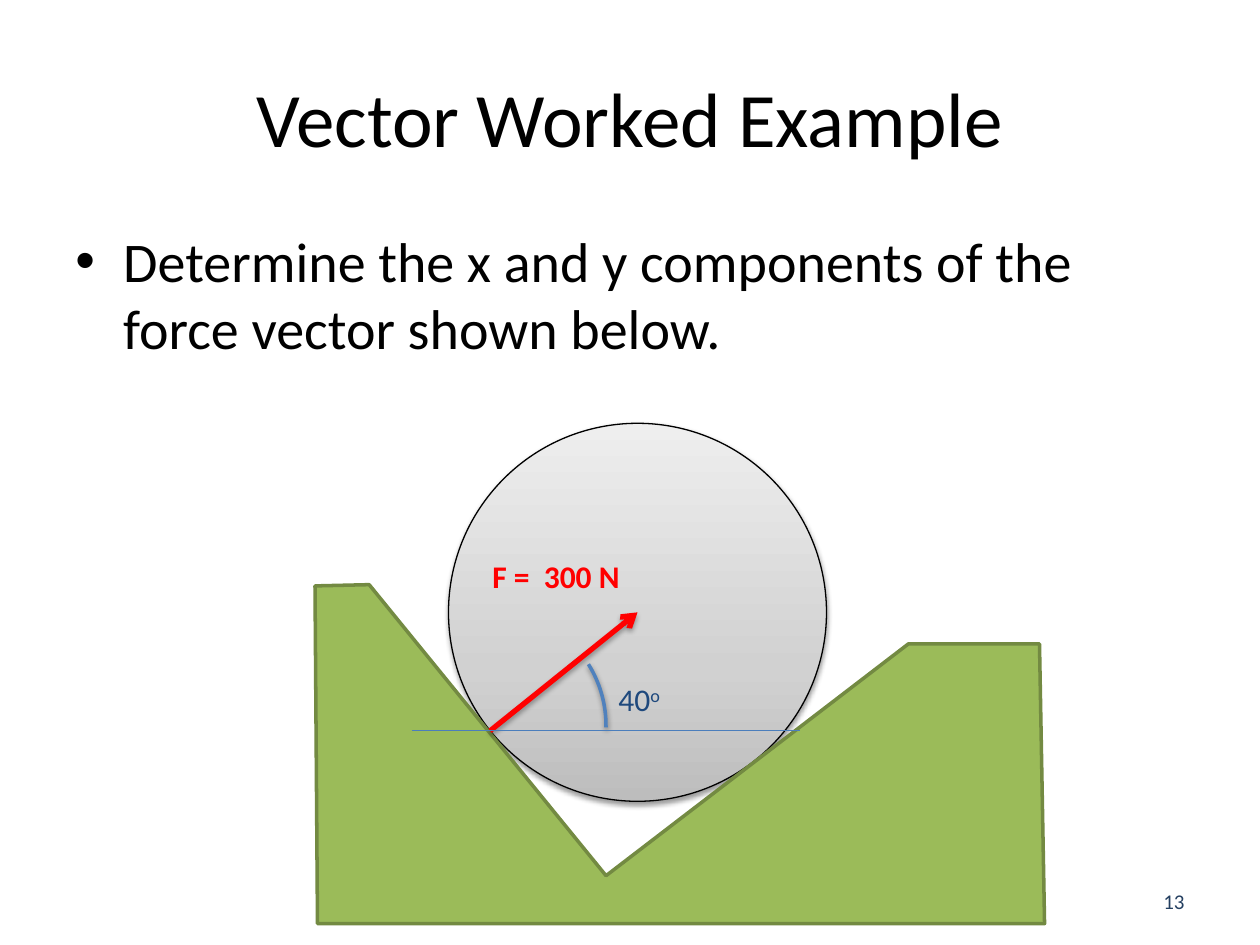
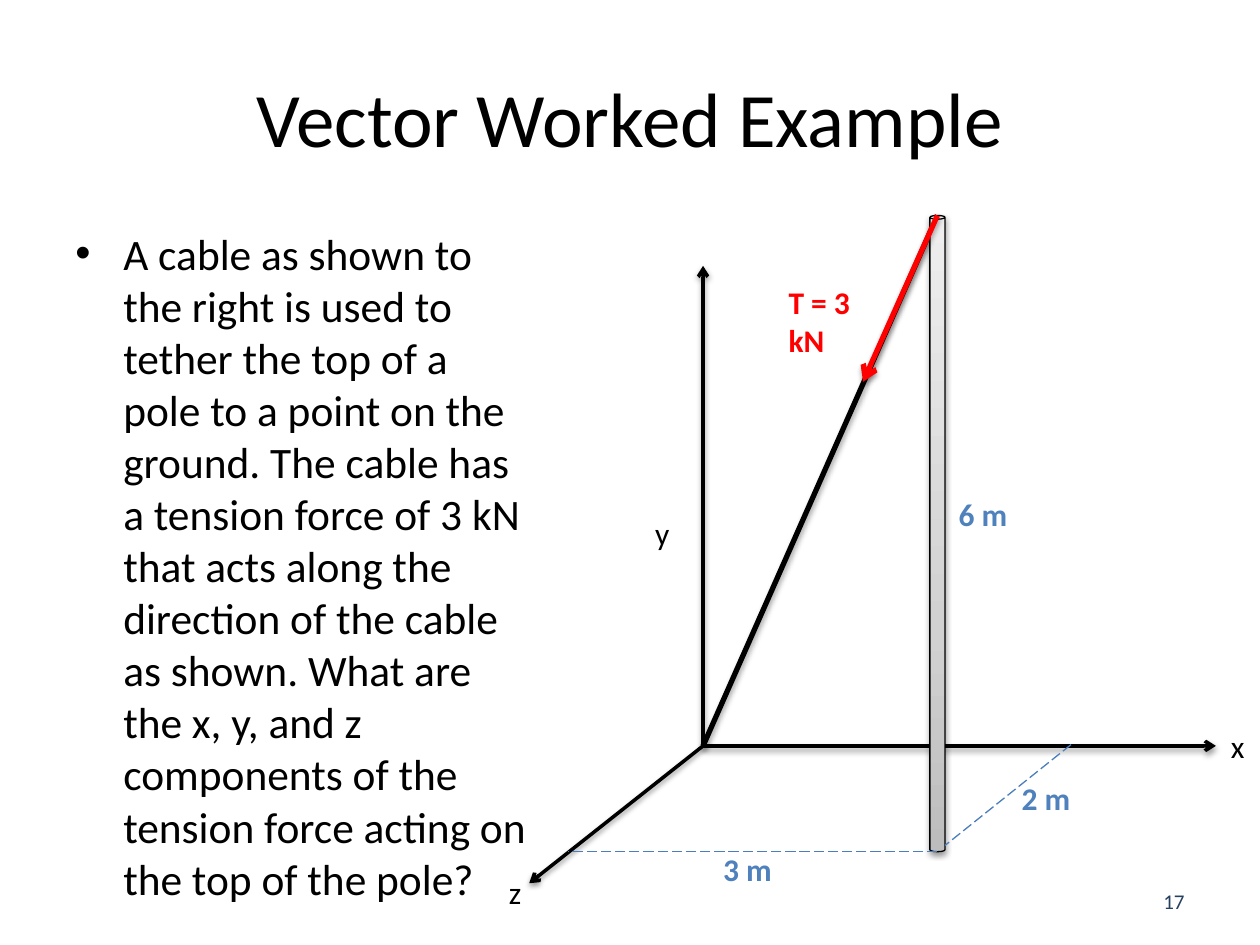
from copy import deepcopy
from lxml import etree
from pptx import Presentation, util as u
from pptx.dml.color import RGBColor
from pptx.enum import dml, shapes, text
from pptx.oxml import ns

# Shared look
BLACK = RGBColor(0x00, 0x00, 0x00)
RED = RGBColor(0xFF, 0x00, 0x00)
NAVY = RGBColor(0x25, 0x40, 0x61)
INK = RGBColor(0x1F, 0x49, 0x7D)
BLUE = RGBColor(0x4F, 0x81, 0xBD)
STEEL = RGBColor(0x4B, 0x7E, 0xBC)
GREEN = RGBColor(0x9B, 0xBB, 0x59)
OLIVE = RGBColor(0x73, 0x8A, 0x42)
GREYS = [(0, RGBColor(0xBD, 0xBD, 0xBD)),
         (0.35, RGBColor(0xD1, 0xD1, 0xD1)),
         (1, RGBColor(0xEE, 0xEE, 0xEE))]
FACE = "Calibri"
TITLE = "Vector Worked Example"

# Grid: 100 columns by 75 rows
COLS, ROWS = 100, 75
CELL = u.Inches(0.1)
EDGE = 5

# Line styles: colour, width, arrow, dash, shadow (opacity %, distance pt)
SOFT, DEEP = (38, 1.6), (35, 1.8)
LINES = {
    "force": (RED, 3, True, None, DEEP),
    "cable": (BLACK, 3, False, None, DEEP),
    "axis": (BLACK, 2, True, None, SOFT),
    "level": (STEEL, 0.75, False, None, None),
    "dash": (STEEL, 0.75, False, dml.MSO_LINE.LONG_DASH, None),
    "rim": (BLACK, 0.75, False, None, SOFT),
    "angle": (BLUE, 2, False, None, SOFT),
    "bank": (OLIVE, 2, False, None, None),
}

# Label styles: font values
LABELS = {
    "plain": {"size": u.Pt(18), "color": BLACK},
    "angle": {"size": u.Pt(18), "color": INK},
    "load": {"size": u.Pt(18), "color": RED, "bold": True},
    "span": {"size": u.Pt(18), "color": BLUE, "bold": True},
}

# Slide 1: ball in a notch
BALL = (35.6, 33.6, 30, 30)
HUB = (BALL[0] + BALL[2] / 2, BALL[1] + BALL[3] / 2)
TOUCH = (38.9, 58)
BANK = [(29.3, 46.4), (48.1, 69.5), (72.1, 51.1), (82.5, 51.1),
        (82.9, 73.3), (25.2, 73.3), (25, 46.5)]
NOTCH = [
    ("solid", shapes.MSO_SHAPE.OVAL, BALL),
    ("land", BANK),
    ("line", "force", TOUCH, HUB),
    ("arc", (30.6, 48.6, 17.5, 18), (195.88, 0.57)),
    ("label", "angle", (48.1, 53.5, 7.5, 4), "40", "o"),
    ("line", "level", (32.7, TOUCH[1]), (63.5, TOUCH[1])),
    ("label", "load", (38.1, 43.7, 16.7, 4), "F =  300 N"),
]

# Slide 2: tethered pole
ZERO, TOP, FOOT = (55.8, 59.2), (74.4, 17.1), (74.4, 67.6)
WIDE = 1.2
POLE = (TOP[0] - WIDE / 2, TOP[1], WIDE, FOOT[1] - TOP[1])
TETHER = [
    ("line", "cable", ZERO, TOP),
    ("line", "axis", ZERO, (42, 70.1)),
    ("line", "axis", ZERO, (96.5, ZERO[1])),
    ("line", "axis", ZERO, (ZERO[0], 21.1)),
    ("label", "plain", (51, 40.3, 3.2, 4), "y"),
    ("label", "plain", (96.7, 57.2, 3.1, 4), "x"),
    ("label", "plain", (39.4, 68.8, 3, 4), "z"),
    ("solid", shapes.MSO_SHAPE.CAN, POLE),
    ("line", "force", TOP, (68.5, 30.3)),
    ("label", "load", (61.6, 22, 10.2, 4), "T = 3 kN"),
    ("line", "dash", FOOT, (45.1, FOOT[1])),
    ("line", "dash", (85, 59.1), (75, 67.1)),
    ("label", "span", (75.1, 38.8, 5.9, 4), "6 m"),
    ("label", "span", (56.4, 67, 5.9, 4), "3 m"),
    ("label", "span", (80.1, 61.3, 5.9, 4), "2 m"),
]

# Slides: number, body text, body size, body columns and rows, drawing
SLIDES = [
    ("13", "Determine the x and y components of the force vector shown below.",
     32, (90, 15.8), NOTCH),
    ("17", "A cable as shown to the right is used to tether the top of a pole "
     "to a point on the ground. The cable has a tension force of 3 kN that "
     "acts along the direction of the cable as shown. What are the x, y, and "
     "z components of the tension force acting on the top of the pole?",
     24.8, (37.8, 54.5), TETHER),
]


def emu(vals):
    return [round(v * CELL) for v in vals]


def node(up, tag, **attrs):
    return etree.SubElement(up, ns.qn("a:" + tag),
                            {k: str(v) for k, v in attrs.items()})


def style(shp, name):
    """Outline, arrowhead and shadow of any drawn part."""
    color, width, arrow, dash, shade = LINES[name]
    line = shp.line
    line.color.rgb = color
    for key, val in {"width": u.Pt(width), "dash_style": dash}.items():
        if val is not None:
            setattr(line, key, val)
    props = shp._element.spPr
    if arrow:
        node(props.find(ns.qn("a:ln")), "tailEnd", type="arrow")
    fx = node(props, "effectLst")
    if shade:
        cast = node(fx, "outerShdw", blurRad=u.Pt(3.1), dist=u.Pt(shade[1]),
                    dir=90 * 60000, rotWithShape=0)
        tone = node(cast, "srgbClr", val=BLACK)
        node(tone, "alpha", val=shade[0] * 1000)


def write(page, at, words, font, wrap=True, align=None, anchor=None,
          raised=None, bullet=False, grow=False):
    """Text box with one paragraph."""
    box = page.shapes.add_textbox(*emu(at))
    frame = box.text_frame
    fit = text.MSO_AUTO_SIZE
    setup = {"word_wrap": wrap, "vertical_anchor": anchor,
             "auto_size": fit.SHAPE_TO_FIT_TEXT if grow else fit.NONE}
    for key, val in setup.items():
        setattr(frame, key, val)
    para = frame.paragraphs[0]
    para.alignment = align
    if bullet:
        props = para._p.get_or_add_pPr()
        for key, val in {"marL": 0.38, "indent": -0.38}.items():
            props.set(key, str(u.Inches(val)))
        node(props, "buFont", typeface="Arial")
        node(props, "buChar", char="•")
    for part in filter(None, (words, raised)):
        run = para.add_run()
        run.text = part
        run.font.name = FACE
        for key, val in font.items():
            if key == "color":
                run.font.color.rgb = val
            else:
                setattr(run.font, key, val)
        if part is raised:
            run._r.get_or_add_rPr().set("baseline", "30000")


def solid(page, kind, at):
    """Preset body with grey shading."""
    shp = page.shapes.add_shape(kind, *emu(at))
    shp.fill.gradient()
    shp.fill.gradient_angle = 90
    stops = shp._element.spPr.find(".//" + ns.qn("a:gsLst"))
    stops.append(deepcopy(stops[-1]))
    for stop, (pos, color) in zip(shp.fill.gradient_stops, GREYS):
        stop.position = pos
        stop.color.rgb = color
    style(shp, "rim")


def land(page, pts):
    first, *rest = [emu(p) for p in pts]
    pen = page.shapes.build_freeform(*first)
    pen.add_line_segments(rest, close=True)
    shp = pen.convert_to_shape()
    shp.fill.solid()
    shp.fill.fore_color.rgb = GREEN
    style(shp, "bank")


def arc(page, at, turns):
    shp = page.shapes.add_shape(shapes.MSO_SHAPE.ARC, *emu(at))
    for i, turn in enumerate(turns):
        shp.adjustments[i] = turn
    shp.fill.background()
    style(shp, "angle")


def line(page, name, start, end):
    shp = page.shapes.add_connector(shapes.MSO_CONNECTOR.STRAIGHT,
                                    *emu(start + end))
    style(shp, name)


def label(page, name, at, words, raised=None):
    # Narrow labels stay on one line
    write(page, at, words, LABELS[name], raised=raised, grow=True,
          wrap=page.slide_id == 256)


DRAW = {"solid": solid, "land": land, "arc": arc, "line": line, "label": label}


def main():
    deck = Presentation()
    deck.slide_width, deck.slide_height = emu((COLS, ROWS))
    mid = text.MSO_ANCHOR.MIDDLE
    for number, words, size, span, parts in SLIDES:
        page = deck.slides.add_slide(deck.slide_layouts[6])
        # Title, body and slide number
        write(page, (EDGE, 3, COLS - 2 * EDGE, 12.5), TITLE,
              {"size": u.Pt(44), "color": BLACK},
              align=text.PP_ALIGN.CENTER, anchor=mid)
        write(page, (EDGE, 17.5) + span, words,
              {"size": u.Pt(size), "color": BLACK}, bullet=True)
        write(page, (71.7, 69.5, 23.3, 4), number,
              {"size": u.Pt(12), "color": NAVY},
              align=text.PP_ALIGN.RIGHT, anchor=mid)
        # Drawing, back to front
        for kind, *spec in parts:
            DRAW[kind](page, *spec)
    deck.save("out.pptx")


if __name__ == "__main__":
    main()
